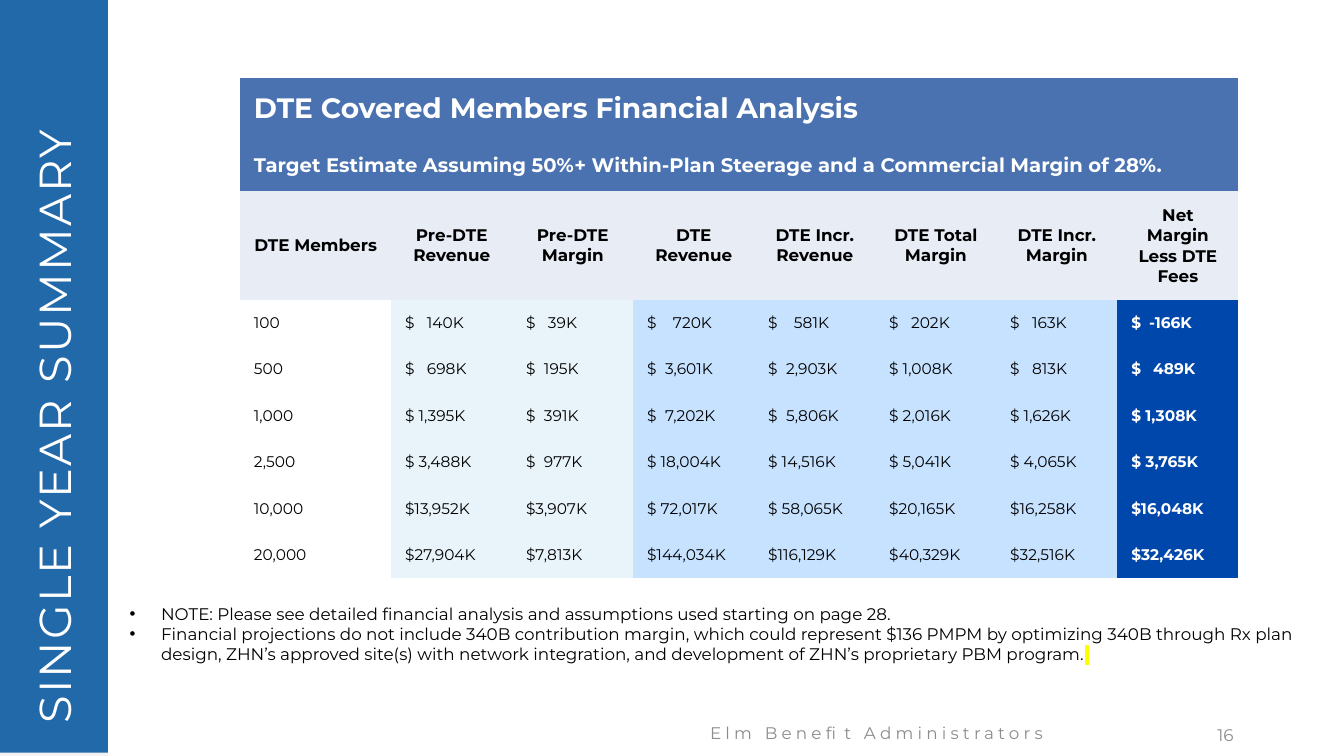
"""Build the single year summary slide with its financial analysis table."""
from dataclasses import dataclass, field

from lxml.etree import SubElement as Sub
from pptx import Presentation
from pptx.dml.color import RGBColor
from pptx.enum.shapes import MSO_SHAPE
from pptx.enum.text import MSO_ANCHOR as Anchor, PP_ALIGN as Align
from pptx.oxml.ns import qn
from pptx.slide import Slide
from pptx.table import _Cell as Cell
from pptx.text.text import _Paragraph as Paragraph, _Run as Run
from pptx.util import Cm, Pt

FONT = "Montserrat"
COLORS = {
    "white": "FFFFFF", "black": "000000", "gray": "8C8C8C", "pale": "F2F2F2",
    "bar": "00539F", "banner": "4A72B0", "heading": "E7ECF5", "before": "E8F4F9",
    "after": "C6E2FF", "net": "0047AB", "marker": "FFFF00",
}
NO_STYLE = "{2D5ABB26-0587-4C30-8999-92F81FD0307C}"
CELL_MARGIN = 0.35


@dataclass
class Style:
    size: float
    color: str = "black"
    bold: bool = False
    spacing: float = 0
    align: Align = Align.LEFT


@dataclass
class Bar:
    top: float
    color: str
    opacity: int


@dataclass
class Label:
    text: str
    left: float
    top: float
    width: float
    height: float
    style: Style
    rotation: float = 0


@dataclass
class Column:
    heading: str
    width: float
    fill: str
    amounts: list[str]
    style: Style = field(default_factory=lambda: Style(11))
    sign: str = "$"


BARS = [Bar(0, "pale", 100), Bar(-0.08, "bar", 86)]
LABELS = [
    Label("Elm Benefit Administrators", 16.38, 17.96, 11.43, 1.02,
          Style(12, "gray", spacing=3, align=Align.CENTER)),
    Label("16", 23.72, 18.01, 7.62, 1.02, Style(12, "gray", align=Align.RIGHT)),
    Label("SINGLE YEAR SUMMARY", -7.85, 8.23, 18.42, 2.08,
          Style(32, "white", spacing=1.5), 270),
]
NOTES = [
    "NOTE: Please see detailed financial analysis and assumptions used starting on page 28.",
    "Financial projections do not include 340B contribution margin, which could represent "
    "$136 PMPM by optimizing 340B through Rx plan design, ZHN’s approved site(s) with network "
    "integration, and development of ZHN’s proprietary PBM program.",
]
BANNERS = [
    ("DTE Covered Members Financial Analysis", Style(20, "white", True)),
    ("Target Estimate Assuming 50%+ Within-Plan Steerage and a Commercial Margin of 28%.",
     Style(14, "white", True)),
]
HEADING = Style(12, bold=True, align=Align.CENTER)
COLUMNS = [
    Column("DTE Members", 3.81, "", ["100", "500", "1,000", "2,500", "10,000", "20,000"], sign=""),
    Column("Pre-DTE Revenue", 3.05, "before",
           ["140K", "698K", "1,395K", "3,488K", "13,952K", "27,904K"]),
    Column("Pre-DTE Margin", 3.05, "before",
           ["39K", "195K", "391K", "977K", "3,907K", "7,813K"]),
    Column("DTE Revenue", 3.05, "after",
           ["720K", "3,601K", "7,202K", "18,004K", "72,017K", "144,034K"]),
    Column("DTE Incr. Revenue", 3.05, "after",
           ["581K", "2,903K", "5,806K", "14,516K", "58,065K", "116,129K"]),
    Column("DTE Total Margin", 3.05, "after",
           ["202K", "1,008K", "2,016K", "5,041K", "20,165K", "40,329K"]),
    Column("DTE Incr. Margin", 3.05, "after",
           ["163K", "813K", "1,626K", "4,065K", "16,258K", "32,516K"]),
    Column("Net Margin Less DTE Fees", 3.05, "net",
           ["-166K", "489K", "1,308K", "3,765K", "16,048K", "32,426K"], Style(11, "white", True)),
]
ROW_HEIGHTS = [1.56, 1.3, 2.72] + [1.17] * 6


def rgb(name: str) -> RGBColor:
    return RGBColor.from_string(COLORS[name])


def add_run(para: Paragraph, text: str, style: Style) -> Run:
    run = para.add_run()
    run.text = text
    formats = {"name": FONT, "size": Pt(style.size), "bold": style.bold}
    for key, value in formats.items():
        setattr(run.font, key, value)
    run.font.color.rgb = rgb(style.color)
    if style.spacing:
        run.font._element.set("spc", str(int(style.spacing * 100)))
    para.alignment = style.align
    return run


def add_bar(page: Slide, bar: Bar) -> None:
    shape = page.shapes.add_shape(MSO_SHAPE.RECTANGLE, 0, Cm(bar.top), Cm(2.72), Cm(19.05))
    shape.shadow.inherit = False
    shape.line.fill.background()
    shape.fill.solid()
    shape.fill.fore_color.rgb = rgb(bar.color)
    if bar.opacity < 100:
        color = shape._element.spPr.find(f"{qn('a:solidFill')}/{qn('a:srgbClr')}")
        Sub(color, qn("a:alpha"), val=str(bar.opacity * 1000))


def add_label(page: Slide, label: Label) -> None:
    box = page.shapes.add_textbox(Cm(label.left), Cm(label.top), Cm(label.width), Cm(label.height))
    box.rotation = label.rotation
    box.text_frame.word_wrap = True
    box.text_frame.vertical_anchor = Anchor.MIDDLE
    add_run(box.text_frame.paragraphs[0], label.text, label.style)


def add_notes(page: Slide) -> None:
    frame = page.shapes.add_textbox(Cm(3.02), Cm(15.09), Cm(30.23), Cm(1.8)).text_frame
    frame.word_wrap = True
    for index, note in enumerate(NOTES):
        para = frame.add_paragraph() if index else frame.paragraphs[0]
        properties = para._p.get_or_add_pPr()
        properties.set("marL", str(Cm(0.79)))
        properties.set("indent", str(-Cm(0.79)))
        Sub(properties, qn("a:buFont"), typeface="Arial")
        Sub(properties, qn("a:buChar"), char="•")
        add_run(para, note, Style(12))
    marker = add_run(para, " ", Style(12, spacing=6))
    highlight = Sub(marker.font._element, qn("a:highlight"))
    Sub(highlight, qn("a:srgbClr"), val=COLORS["marker"])
    marker.font._element.find(qn("a:latin")).addprevious(highlight)


def fill_cell(cell: Cell, text: str, style: Style, fill: str, tab: float = 0) -> None:
    for side in ("left", "right", "top", "bottom"):
        setattr(cell, f"margin_{side}", Cm(CELL_MARGIN))
    cell.vertical_anchor = Anchor.MIDDLE
    if fill:
        cell.fill.solid()
        cell.fill.fore_color.rgb = rgb(fill)
    else:
        cell.fill.background()
    para = cell.text_frame.paragraphs[0]
    if tab:
        stops = Sub(para._p.get_or_add_pPr(), qn("a:tabLst"))
        Sub(stops, qn("a:tab"), pos=str(Cm(tab)), algn="l")
    add_run(para, text, style)


def add_analysis(page: Slide) -> None:
    width = sum(column.width for column in COLUMNS)
    table = page.shapes.add_table(len(ROW_HEIGHTS), len(COLUMNS), Cm(6.05), Cm(1.96),
                                  Cm(width), Cm(sum(ROW_HEIGHTS))).table
    table.first_row = table.horz_banding = False
    table._tbl.tblPr.find(qn("a:tableStyleId")).text = NO_STYLE
    for row, height in zip(table.rows, ROW_HEIGHTS):
        row.height = Cm(height)
    for row, (text, style) in enumerate(BANNERS):
        table.cell(row, 0).merge(table.cell(row, len(COLUMNS) - 1))
        fill_cell(table.cell(row, 0), text, style, "banner")
    for index, column in enumerate(COLUMNS):
        table.columns[index].width = Cm(column.width)
        fill_cell(table.cell(2, index), column.heading, HEADING, "heading")
        widest = max(map(len, column.amounts))
        for row, amount in enumerate(column.amounts, 3):
            gap = widest - len(amount) if column.sign else 0
            tab = 0.25 + 0.1 * gap if gap > 1 else 0
            text = column.sign + ("\t" if tab else " " * gap) + amount
            fill_cell(table.cell(row, index), text, column.style, column.fill, tab)


def main() -> None:
    deck = Presentation()
    deck.slide_width, deck.slide_height = Cm(33.87), Cm(19.05)
    page = deck.slides.add_slide(deck.slide_layouts[6])
    for bar in BARS:
        add_bar(page, bar)
    for label in LABELS:
        add_label(page, label)
    add_notes(page)
    add_analysis(page)
    deck.save("out.pptx")


if __name__ == "__main__":
    main()
